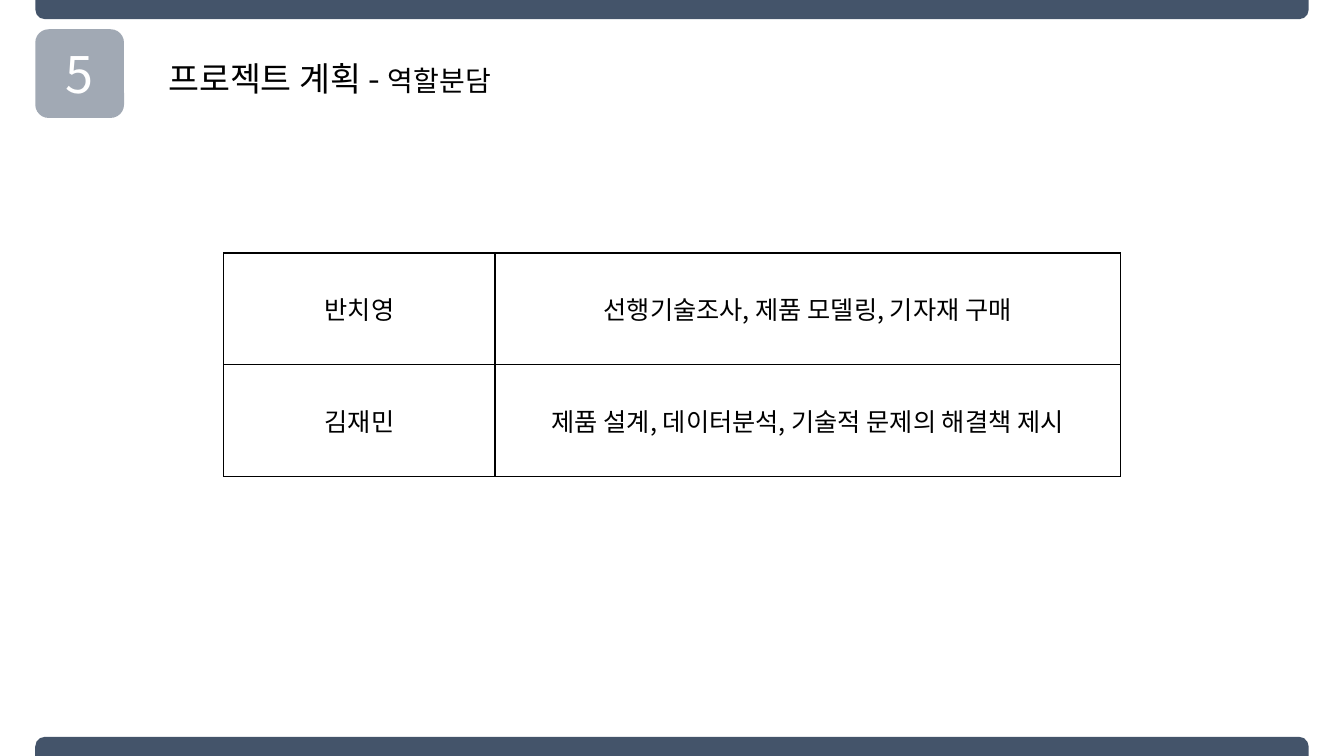
from lxml import etree
from pptx import Presentation
from pptx.dml.color import RGBColor
from pptx.enum.shapes import MSO_SHAPE
from pptx.enum.text import MSO_ANCHOR, MSO_AUTO_SIZE, PP_ALIGN
from pptx.oxml.ns import qn
from pptx.util import Inches, Pt

BAR_SHAPE = MSO_SHAPE.ROUND_2_SAME_RECTANGLE
BADGE_SHAPE = MSO_SHAPE.ROUNDED_RECTANGLE
MIDDLE = MSO_ANCHOR.MIDDLE
CENTER = PP_ALIGN.CENTER
FIT_TEXT = MSO_AUTO_SIZE.SHAPE_TO_FIT_TEXT
FONT = "Noto Sans CJK KR"
COLORS = {"slate": "44546A", "white": "FFFFFF", "black": "000000"}
WIDTH, HEIGHT = Inches(13.33), Inches(7.5)
MARGIN = Inches(0.35)
BAR_HEIGHT = Inches(0.19)


def add_span(para, text, size, color):
    span = para.add_run()
    span.text = text
    formats = {"size": Pt(size), "name": FONT}
    for key, value in formats.items():
        setattr(span.font, key, value)
    span.font.color.rgb = RGBColor.from_string(COLORS[color])
    east_asian = etree.SubElement(span.font._element, qn("a:ea"))
    east_asian.set("typeface", FONT)


def add_block(kind, left, top, width, height, adjustments):
    block = slide.shapes.add_shape(kind, left, top, width, height)
    block.shadow.inherit = False
    block.fill.solid()
    block.fill.fore_color.rgb = RGBColor.from_string(COLORS["slate"])
    block.line.fill.background()
    for index, value in enumerate(adjustments):
        block.adjustments[index] = value
    return block


deck = Presentation()
deck.slide_width, deck.slide_height = WIDTH, HEIGHT
slide = deck.slides.add_slide(deck.slide_layouts[6])

for top, rotation in ((0, 180), (HEIGHT - BAR_HEIGHT, 0)):
    bar = add_block(BAR_SHAPE, MARGIN, top, WIDTH - 2 * MARGIN, BAR_HEIGHT, (0.5, 0))
    bar.rotation = rotation

badge_side = Inches(0.88)
badge = add_block(BADGE_SHAPE, MARGIN, Inches(0.29), badge_side, badge_side, (0.15,))
badge_color = badge.fill._xPr.find(qn("a:solidFill"))[0]
etree.SubElement(badge_color, qn("a:alpha")).set("val", "50000")
badge.text_frame.vertical_anchor = MIDDLE
badge_para = badge.text_frame.paragraphs[0]
badge_para.alignment = CENTER
add_span(badge_para, "5", 36, "white")

title_box = slide.shapes.add_textbox(Inches(1.57), Inches(0.53), Inches(3.84), Inches(0.5))
title_box.text_frame.word_wrap = False
title_box.text_frame.auto_size = FIT_TEXT
title_para = title_box.text_frame.paragraphs[0]
for text, size in (("프로젝트 계획 - ", 24), ("역할분담", 20)):
    add_span(title_para, text, size, "black")

roles = (
    ("반치영", "선행기술조사, 제품 모델링, 기자재 구매"),
    ("김재민", "제품 설계, 데이터분석, 기술적 문제의 해결책 제시"),
)
column_widths = (Inches(2.69), Inches(6.2))
row_height = Inches(1.11)
table_width = sum(column_widths)
frame = slide.shapes.add_table(
    len(roles), len(column_widths), (WIDTH - table_width) // 2, Inches(2.51),
    table_width, row_height * len(roles),
)
table = frame.table
table.first_row = table.horz_banding = False
for column, width in zip(table.columns, column_widths):
    column.width = width
for row, texts in zip(table.rows, roles):
    row.height = row_height
    for cell, text in zip(row.cells, texts):
        cell.vertical_anchor = MIDDLE
        para = cell.text_frame.paragraphs[0]
        para.alignment = CENTER
        add_span(para, text, 18, "black")
        properties = cell._tc.get_or_add_tcPr()
        for side in ("L", "R", "T", "B"):
            border = etree.SubElement(properties, qn(f"a:ln{side}"), w=str(Pt(1)))
            paint = etree.SubElement(border, qn("a:solidFill"))
            etree.SubElement(paint, qn("a:srgbClr"), val=COLORS["black"])
        cell.fill.solid()
        cell.fill.fore_color.rgb = RGBColor.from_string(COLORS["white"])

deck.save("out.pptx")
